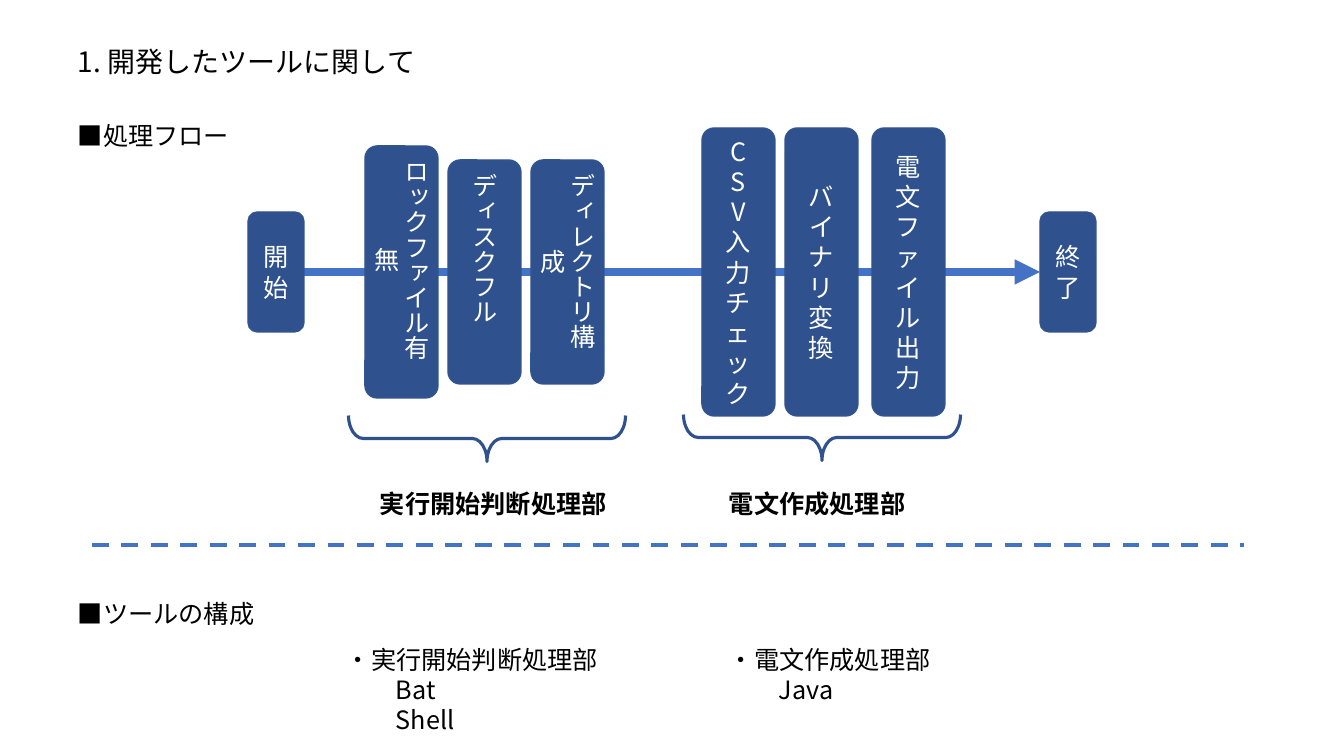
from pptx import Presentation
from pptx.dml.color import RGBColor
from pptx.enum.dml import MSO_LINE_DASH_STYLE as Dash
from pptx.enum.shapes import MSO_CONNECTOR as Connector, MSO_SHAPE as Shape
from pptx.enum.text import MSO_ANCHOR as Anchor, MSO_AUTO_SIZE as AutoSize, PP_ALIGN as Align
from pptx.oxml.ns import qn
from pptx.util import Pt
from lxml.etree import SubElement

SCALE = 914400 / 100.8
COLORS = {"text": "000000", "white": "FFFFFF", "step": "2F528F",
          "edge": "325491", "flow": "4472C4"}


def px(value):
    return round(value * SCALE)


def color(name):
    return RGBColor.from_string(COLORS[name])


class SlideBuilder:
    font = "Noto Sans CJK JP"

    def __init__(self, slide):
        self.slide = slide

    def fill_text(self, frame, lines, ink="text", align=None, indent=0, **font_values):
        """One paragraph per line; lines after the first take the indent."""
        values = {"name": self.font, "size": Pt(18), **font_values}
        for index, line in enumerate(lines):
            paragraph = frame.add_paragraph() if index else frame.paragraphs[0]
            paragraph.alignment = align
            if index and indent:
                paragraph._p.get_or_add_pPr().set("marL", str(px(indent)))
            run = paragraph.add_run()
            run.text = line
            for key, value in values.items():
                setattr(run.font, key, value)
            run.font.color.rgb = color(ink)
            SubElement(run._r.get_or_add_rPr(), qn("a:ea"), typeface=self.font)

    def text(self, box, *lines, wrap=True, **values):
        frame = self.slide.shapes.add_textbox(*map(px, box)).text_frame
        frame.word_wrap = wrap
        frame.auto_size = AutoSize.SHAPE_TO_FIT_TEXT
        self.fill_text(frame, lines, **values)

    def outline(self, line, name, width):
        line.color.rgb = color(name)
        line.width = Pt(width)

    def step(self, box, *lines, vertical=False):
        shape = self.slide.shapes.add_shape(Shape.ROUNDED_RECTANGLE, *map(px, box))
        shape.shadow.inherit = False
        shape.fill.solid()
        shape.fill.fore_color.rgb = color("step")
        self.outline(shape.line, "edge", 1)
        frame = shape.text_frame
        frame.word_wrap = True
        frame.vertical_anchor = Anchor.MIDDLE
        if vertical:
            frame._txBody.bodyPr.set("vert", "eaVert")
        self.fill_text(frame, lines, ink="white", align=Align.CENTER)

    def brace(self, box):
        shape = self.slide.shapes.add_shape(Shape.RIGHT_BRACE, *map(px, box))
        shape.shadow.inherit = False
        shape.rotation = 90
        shape.adjustments[0], shape.adjustments[1] = 0.32, 0.5
        shape.fill.background()
        self.outline(shape.line, "step", 2.25)

    def horizontal(self, left, right, y, width, dash=None, arrow=False):
        connector = self.slide.shapes.add_connector(
            Connector.STRAIGHT, px(left), px(y), px(right), px(y))
        self.outline(connector.line, "flow", width)
        if dash:
            connector.line.dash_style = dash
        if arrow:
            SubElement(connector.line._get_or_add_ln(), qn("a:tailEnd"), type="triangle")
        SubElement(connector._element.spPr, qn("a:effectLst"))


presentation = Presentation()
presentation.slide_width, presentation.slide_height = px(1344), px(756)
builder = SlideBuilder(presentation.slides.add_slide(presentation.slide_layouts[6]))

# Headings
builder.text((68, 40, 368, 44), "1. 開発したツールに関して", wrap=False, size=Pt(20))
for top, heading in ((115, "■処理フロー"), (593, "■ツールの構成")):
    builder.text((68, top, 563, 40), heading)

# Process flow: every step is centred on the arrow
FLOW_Y = 272
builder.horizontal(303, 1040, FLOW_Y, 6, arrow=True)
steps = (
    (248, 56, 120, False, ["開始"]),
    (365, 73, 252, True, ["ロックファイル有無"]),
    (448, 73, 224, True, ["ディスクフル"]),
    (531, 73, 224, True, ["ディレクトリ構成"]),
    (702, 73, 288, False, ["C", "S", "V", "入力チェック"]),
    (785, 73, 288, False, ["バイナリ変換"]),
    (872, 73, 288, False, ["電文ファイル出力"]),
    (1040, 56, 120, False, ["終了"]),
)
for left, width, height, vertical, lines in steps:
    builder.step((left, FLOW_Y - height / 2, width, height), *lines, vertical=vertical)

# Both parts: brace, name, and the languages used
parts = (
    (464, 300, (370, 260), (336, 283), "実行開始判断処理部", ["Bat", "Shell"]),
    (799, 299, (719, 207), (719, 240), "電文作成処理部", ["Java"]),
)
for brace_left, brace_top, (left, width), (list_left, list_width), name, tools in parts:
    builder.brace((brace_left, brace_top, 46, 277))
    builder.text((left, 483, width, 40), name, bold=True)
    builder.text((list_left, 639, list_width, 41 + 30 * len(tools)),
                 "・" + name, *tools, indent=50)

# Divider
builder.horizontal(92, 1244, 545, 3, dash=Dash.DASH)

presentation.save("out.pptx")
